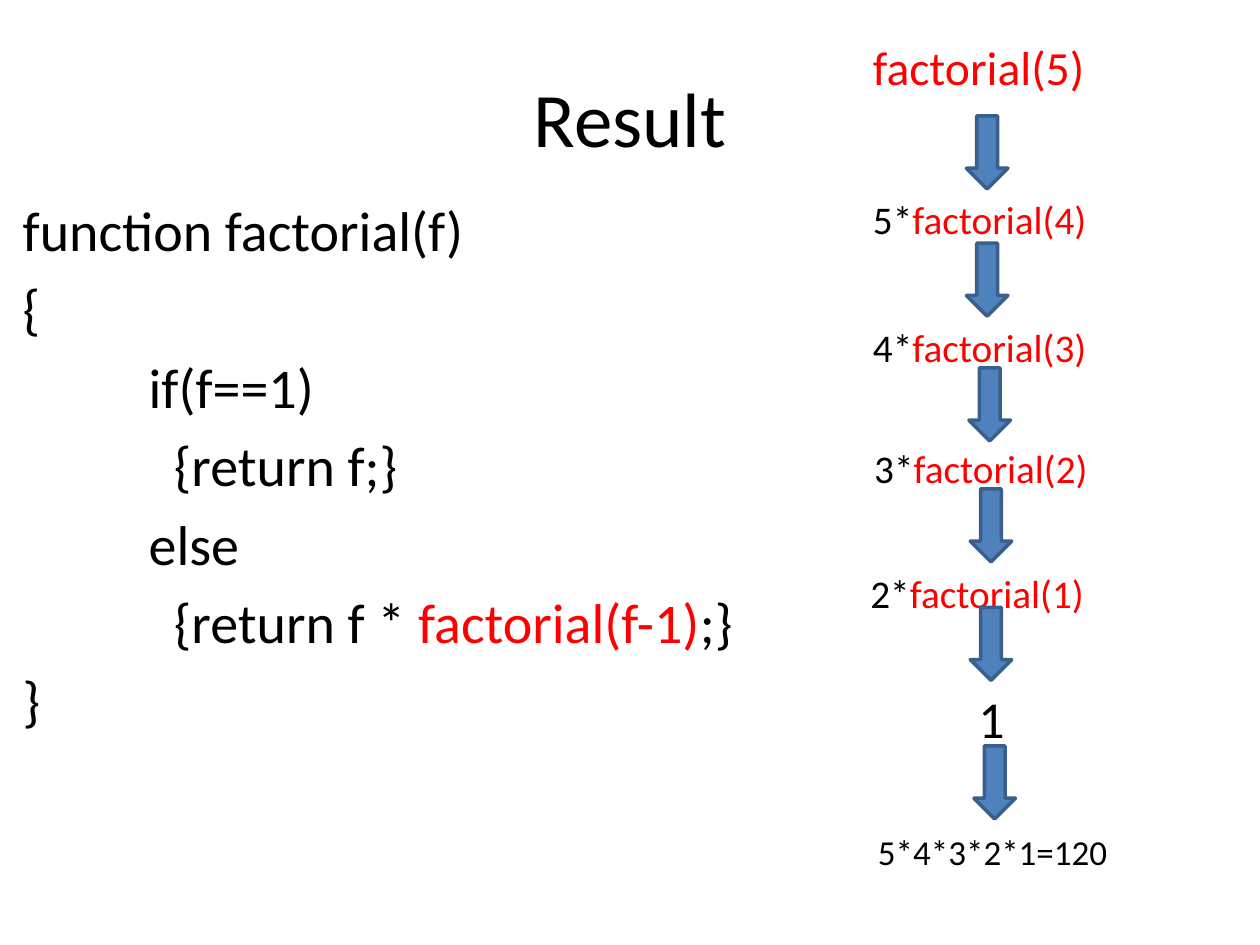
from dataclasses import dataclass

from lxml import etree
from pptx import Presentation
from pptx.dml.color import RGBColor
from pptx.enum.shapes import MSO_SHAPE
from pptx.enum.text import MSO_ANCHOR, MSO_AUTO_SIZE, PP_ALIGN
from pptx.oxml.ns import qn
from pptx.util import Inches, Pt

DOWN_ARROW = MSO_SHAPE.DOWN_ARROW
LEFT, CENTER = PP_ALIGN.LEFT, PP_ALIGN.CENTER


@dataclass(frozen=True)
class Theme:
    font: str = "Calibri"
    ink: RGBColor = RGBColor(0x00, 0x00, 0x00)
    call: RGBColor = RGBColor(0xFF, 0x00, 0x00)
    arrow_fill: RGBColor = RGBColor(0x4F, 0x81, 0xBD)
    arrow_line: RGBColor = RGBColor(0x3A, 0x5F, 0x8C)
    title_size: float = 44
    code_size: float = 32
    first_size: float = 27.2
    step_size: float = 22.4
    base_size: float = 29.6
    answer_size: float = 20


THEME = Theme()

TITLE = "Result"

# Indent in inches, then the spans: (text, is a recursive call)
CODE = [
    (0, [("function factorial(f)", False)]),
    (0, [("{", False)]),
    (1, [("if(f==1)", False)]),
    (1.2, [("{return f;}", False)]),
    (1, [("else", False)]),
    (1.2, [("{return f * ", False), ("factorial(f-1)", True), (";}", False)]),
    (0, [("}", False)]),
]

# Left and top of each label, its size, alignment and spans
STEPS = [
    (6.83, 0.25, THEME.first_size, LEFT, [("factorial(5)", True)]),
    (6.83, 1.5, THEME.step_size, LEFT, [("5*", False), ("factorial(4)", True)]),
    (6.83, 2.52, THEME.step_size, LEFT, [("4*", False), ("factorial(3)", True)]),
    (6.84, 3.48, THEME.step_size, LEFT, [("3*", False), ("factorial(2)", True)]),
    (6.81, 4.47, THEME.step_size, LEFT, [("2*", False), ("factorial(1)", True)]),
    (6.85, 5.4, THEME.base_size, CENTER, [("1", False)]),
    (6.87, 6.54, THEME.answer_size, LEFT, [("5*4*3*2*1=120", False)]),
]
LABEL_SIZE = (2.04, 0.58)

# Left and top of the arrow below each label but the last
ARROWS = [(7.67, 0.92), (7.67, 1.93), (7.69, 2.92),
          (7.7, 3.88), (7.7, 4.82), (7.73, 5.92)]
ARROW_SIZE = (0.33, 0.58)


def place(shape, left, top, width, height):
    shape.left, shape.top = Inches(left), Inches(top)
    shape.width, shape.height = Inches(width), Inches(height)


def write_spans(paragraph, spans, size):
    for text, is_call in spans:
        span = paragraph.add_run()
        span.text = text
        span.font.name = THEME.font
        span.font.size = Pt(size)
        span.font.color.rgb = THEME.call if is_call else THEME.ink


def set_plain_indent(paragraph, indent):
    """Drop the bullet and indent the whole paragraph."""
    properties = paragraph._p.get_or_add_pPr()
    properties.set("marL", str(Inches(indent)))
    properties.set("indent", "0")
    etree.SubElement(properties, qn("a:buNone"))


def add_title(page):
    title = page.shapes.title
    place(title, 0.5, 0.3, 9, 1.25)
    title.text_frame.vertical_anchor = MSO_ANCHOR.MIDDLE
    paragraph = title.text_frame.paragraphs[0]
    paragraph.alignment = CENTER
    write_spans(paragraph, [(TITLE, False)], THEME.title_size)


def add_code(page):
    body = page.placeholders[1]
    place(body, 0.08, 1.5, 5.92, 4.83)
    frame = body.text_frame
    frame.auto_size = MSO_AUTO_SIZE.NONE
    for number, (indent, spans) in enumerate(CODE):
        paragraph = frame.add_paragraph() if number else frame.paragraphs[0]
        set_plain_indent(paragraph, indent)
        write_spans(paragraph, spans, THEME.code_size)


def add_label(page, left, top, size, alignment, spans):
    label = page.shapes.add_textbox(0, 0, 0, 0)
    place(label, left, top, *LABEL_SIZE)
    label.text_frame.word_wrap = True
    paragraph = label.text_frame.paragraphs[0]
    paragraph.alignment = alignment
    write_spans(paragraph, spans, size)


def add_arrow(page, left, top):
    arrow = page.shapes.add_shape(DOWN_ARROW, 0, 0, 0, 0)
    place(arrow, left, top, *ARROW_SIZE)
    arrow.shadow.inherit = False
    arrow.fill.solid()
    arrow.fill.fore_color.rgb = THEME.arrow_fill
    arrow.line.color.rgb = THEME.arrow_line
    arrow.line.width = Pt(2)


def main():
    deck = Presentation()
    deck.slide_width, deck.slide_height = Inches(10), Inches(7.5)
    page = deck.slides.add_slide(deck.slide_layouts[1])
    add_title(page)
    add_code(page)
    for number, step in enumerate(STEPS):
        add_label(page, *step)
        if number < len(ARROWS):
            add_arrow(page, *ARROWS[number])
    deck.save("out.pptx")


if __name__ == "__main__":
    main()
